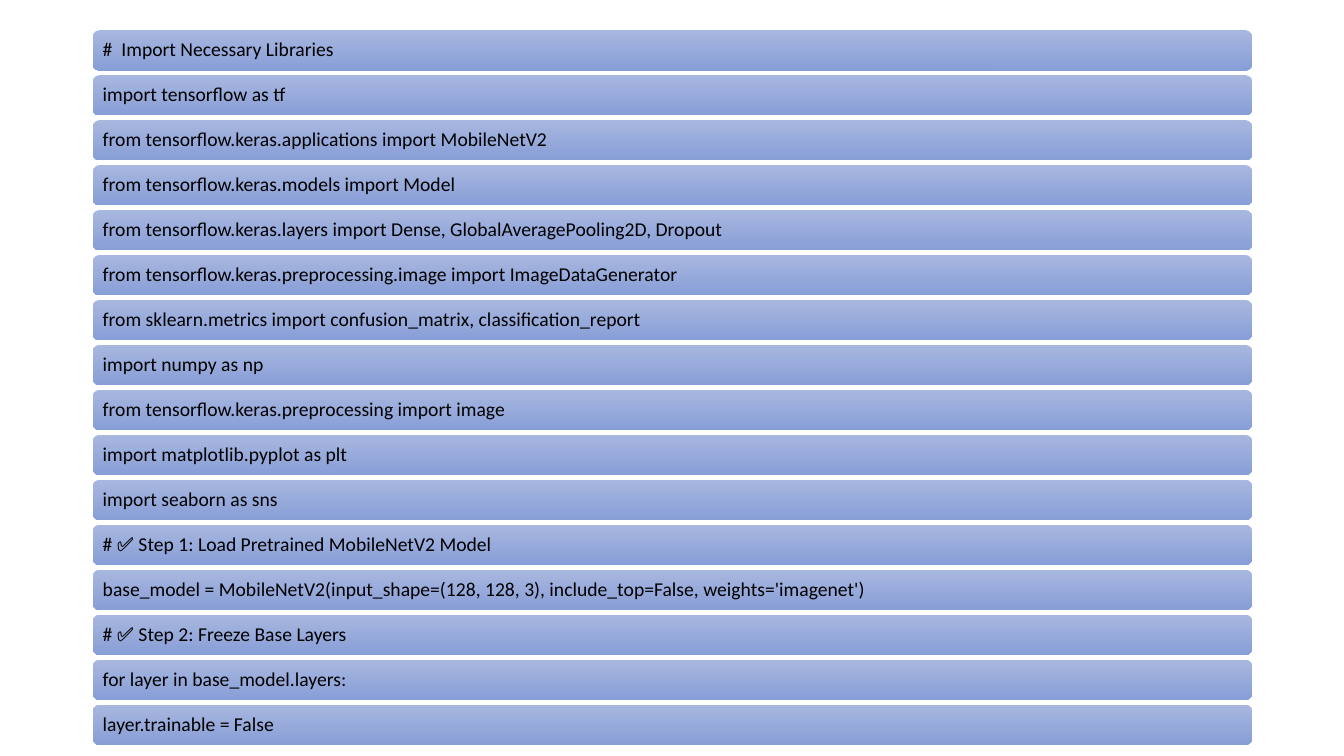
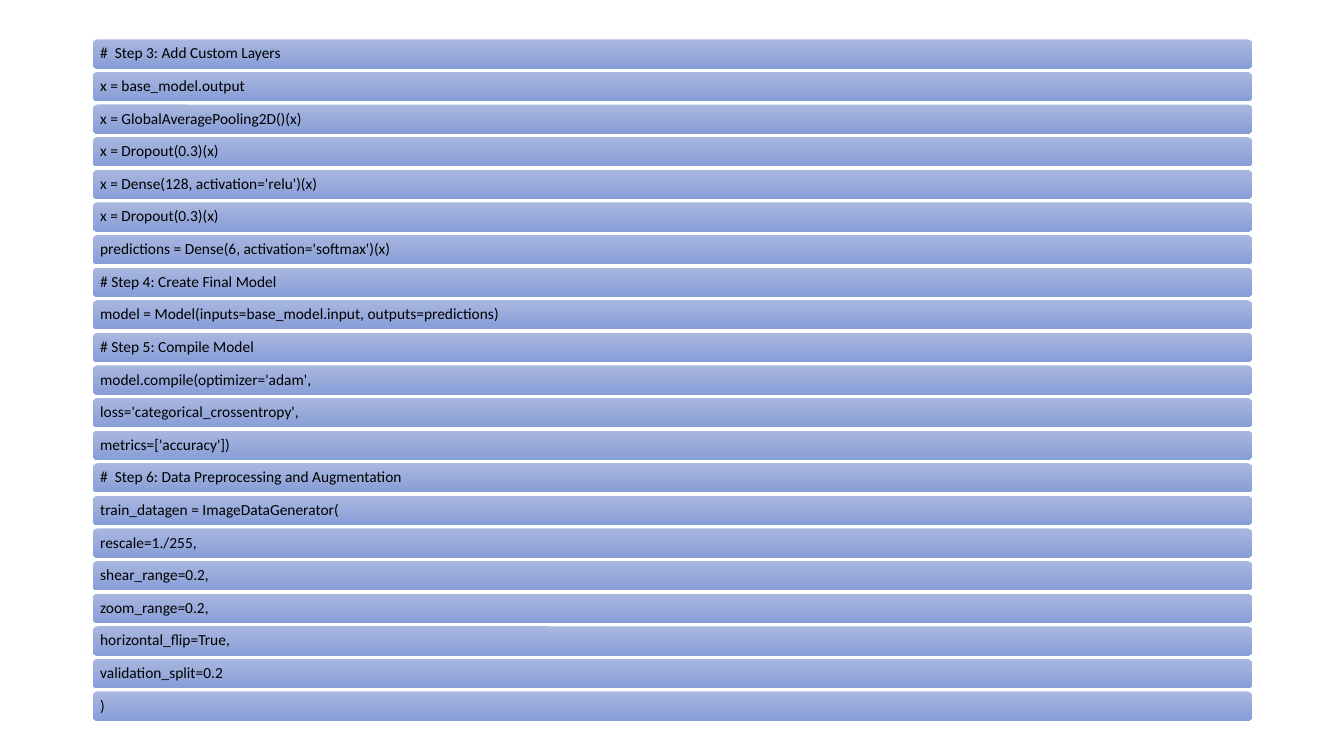
"""Build two slides of model-training code, one rounded bar per line."""
from pptx import Presentation
from pptx.dml.color import RGBColor
from pptx.enum import shapes, text
from pptx.util import Inches, Pt

BAR_TOP = RGBColor(0xA8, 0xB7, 0xDF)
BAR_BOTTOM = RGBColor(0x88, 0x9E, 0xD7)
CODE_COLOR = RGBColor(0x00, 0x00, 0x00)
BAR_LEFT, BAR_WIDTH = 0.92, 11.5

setup_lines = [
    "#  Import Necessary Libraries",
    "import tensorflow as tf",
    "from tensorflow.keras.applications import MobileNetV2",
    "from tensorflow.keras.models import Model",
    "from tensorflow.keras.layers import Dense, GlobalAveragePooling2D, Dropout",
    "from tensorflow.keras.preprocessing.image import ImageDataGenerator",
    "from sklearn.metrics import confusion_matrix, classification_report",
    "import numpy as np",
    "from tensorflow.keras.preprocessing import image",
    "import matplotlib.pyplot as plt",
    "import seaborn as sns",
    "# ✅ Step 1: Load Pretrained MobileNetV2 Model",
    "base_model = MobileNetV2(input_shape=(128, 128, 3), include_top=False, weights='imagenet')",
    "# ✅ Step 2: Freeze Base Layers",
    "for layer in base_model.layers:",
    "layer.trainable = False",
]
training_lines = [
    "#  Step 3: Add Custom Layers",
    "x = base_model.output",
    "x = GlobalAveragePooling2D()(x)",
    "x = Dropout(0.3)(x)",
    "x = Dense(128, activation='relu')(x)",
    "x = Dropout(0.3)(x)",
    "predictions = Dense(6, activation='softmax')(x)",
    "# Step 4: Create Final Model",
    "model = Model(inputs=base_model.input, outputs=predictions)",
    "# Step 5: Compile Model",
    "model.compile(optimizer='adam',",
    "loss='categorical_crossentropy',",
    "metrics=['accuracy'])",
    "#  Step 6: Data Preprocessing and Augmentation",
    "train_datagen = ImageDataGenerator(",
    "rescale=1./255,",
    "shear_range=0.2,",
    "zoom_range=0.2,",
    "horizontal_flip=True,",
    "validation_split=0.2",
    ")",
]
code_slides = [
    {"lines": setup_lines, "first": 0.3, "last": 6.99, "height": 0.4, "inset": 0.08, "size": 14},
    {"lines": training_lines, "first": 0.39, "last": 6.86, "height": 0.29, "inset": 0.06, "size": 11},
]


def apply_format(target, values):
    for name, value in values.items():
        setattr(target, name, value)


def add_code_bar(slide, code, top, height, inset, size):
    bar = slide.shapes.add_shape(
        shapes.MSO_SHAPE.ROUNDED_RECTANGLE,
        Inches(BAR_LEFT), Inches(top), Inches(BAR_WIDTH), Inches(height))
    bar.shadow.inherit = False
    bar.line.fill.background()
    bar.fill.gradient()
    bar.fill.gradient_angle = 270
    for stop, color in zip(bar.fill.gradient_stops, (BAR_TOP, BAR_BOTTOM)):
        stop.color.rgb = color
    frame = bar.text_frame
    frame.text = code
    margin = Inches(inset)
    apply_format(frame, {
        "word_wrap": True, "vertical_anchor": text.MSO_ANCHOR.MIDDLE,
        "margin_left": margin, "margin_right": margin,
        "margin_top": margin, "margin_bottom": margin})
    code_line = frame.paragraphs[0]
    apply_format(code_line, {"alignment": text.PP_ALIGN.LEFT, "line_spacing": 0.9})
    code_font = code_line.runs[0].font
    apply_format(code_font, {"name": "Calibri", "size": Pt(size)})
    code_font.color.rgb = CODE_COLOR


deck = Presentation()
apply_format(deck, {"slide_width": Inches(13.33), "slide_height": Inches(7.5)})
blank_layout = deck.slide_layouts[6]

for code_slide in code_slides:
    slide = deck.slides.add_slide(blank_layout)
    lines, first = code_slide["lines"], code_slide["first"]
    pitch = (code_slide["last"] - first) / (len(lines) - 1)
    for row, code in enumerate(lines):
        add_code_bar(slide, code, first + row * pitch,
                     code_slide["height"], code_slide["inset"], code_slide["size"])

deck.save("out.pptx")
